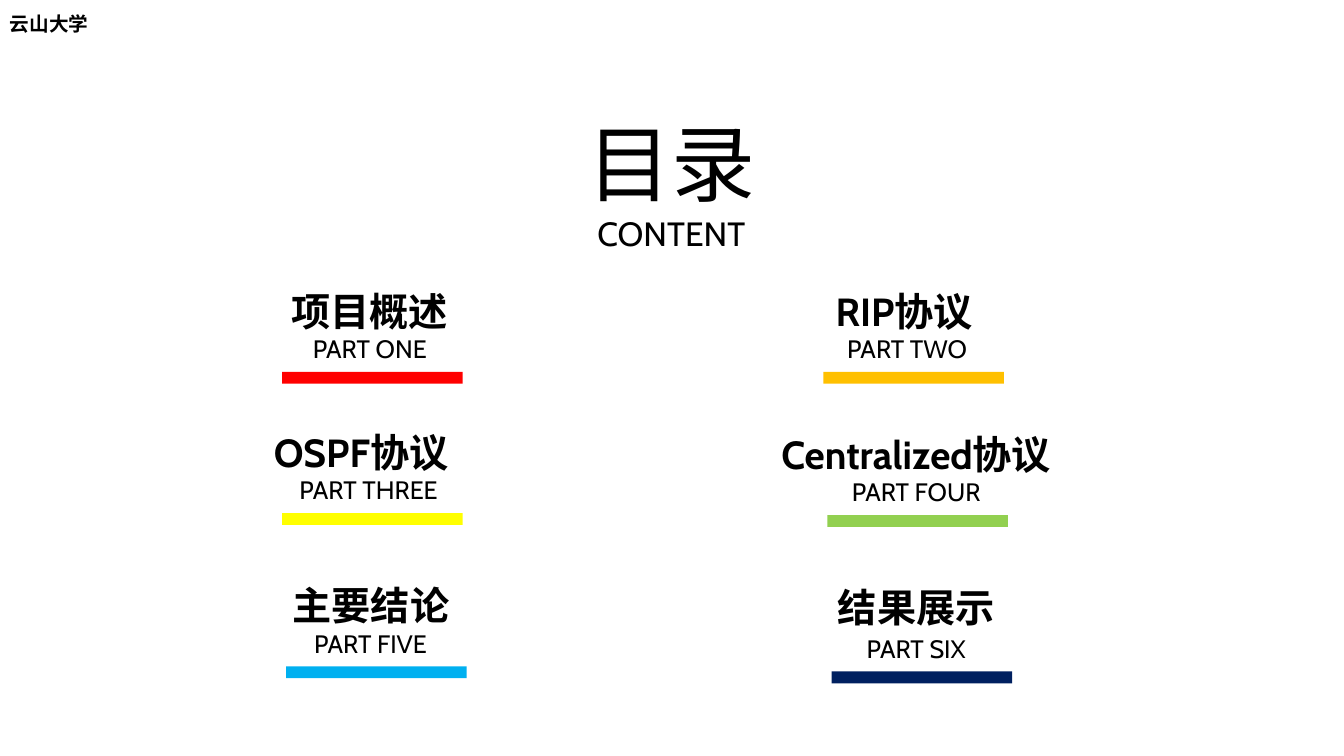
"""Build the contents slide with six colour-coded parts."""
from lxml.etree import SubElement
from pptx import Presentation
from pptx.dml.color import RGBColor
from pptx.enum.lang import MSO_LANGUAGE_ID
from pptx.enum.shapes import MSO_SHAPE
from pptx.enum.text import MSO_ANCHOR, MSO_AUTO_SIZE, PP_ALIGN
from pptx.oxml.ns import qn
from pptx.util import Cm, Pt


def color(code):
    return RGBColor.from_string(code)


def write(box, lines, bold=False, wrap=True, align=PP_ALIGN.CENTER,
          anchor=MSO_ANCHOR.TOP, spacing=None):
    frame = slide.shapes.add_textbox(*map(Cm, box)).text_frame
    frame.word_wrap = wrap
    frame.auto_size = MSO_AUTO_SIZE.SHAPE_TO_FIT_TEXT
    frame.vertical_anchor = anchor
    for i, (text, size) in enumerate(lines):
        para = frame.add_paragraph() if i else frame.paragraphs[0]
        para.alignment = align
        para.line_spacing = spacing
        run = para.add_run()
        run.text = text
        font = run.font
        font.size = Pt(size)
        font.bold = bold
        font.color.rgb = color("000000")
        font.name = "Cabin"
        font.language_id = MSO_LANGUAGE_ID.SIMPLIFIED_CHINESE
        SubElement(font._element, qn("a:ea")).set("typeface", "Cabin")


deck = Presentation()
deck.slide_width = Cm(33.87)
deck.slide_height = Cm(19.05)
slide = deck.slides.add_slide(deck.slide_layouts[6])

write((14.53, 2.69, 4.78, 3.84), [("目录", 60), ("CONTENT", 24)], wrap=False)

# name, name centre, width, height, label, label centre, width, bar left, top, fill
parts = [
    ("项目概述", 9.32, 4.88, 1.65, "PART ONE", 9.32, 4.06, 7.11, 9.37, "FF0000"),
    ("RIP协议", 22.79, 4.88, 1.8, "PART TWO", 22.86, 4.42, 20.75, 9.37, "FFC000"),
    ("OSPF协议", 9.1, 6.88, 1.8, "PART THREE", 9.29, 4.75, 7.11, 12.93, "FFFF00"),
    ("Centralized协议", 23.09, 8.23, 1.8, "PART FOUR", 23.09, 3.91, 20.85, 12.98, "92D050"),
    ("主要结论", 9.35, 4.88, 1.65, "PART FIVE", 9.34, 3.38, 7.21, 16.79, "00B0F0"),
    ("结果展示", 23.09, 4.88, 1.65, "PART SIX", 23.09, 3.4, 20.96, 16.92, "002060"),
]
for i, (name, mid, wide, high, label, hub, span, left, top, fill) in enumerate(parts):
    anchor = MSO_ANCHOR.MIDDLE if i % 2 else MSO_ANCHOR.TOP
    write((hub - span / 2, top - 1.32, span, 1.24), [(label, 18)],
          anchor=anchor, spacing=1.3)
    write((mid - wide / 2, top - 2.62, wide, high), [(name, 28)],
          bold=True, anchor=anchor, spacing=1.3)
    bar = slide.shapes.add_shape(
        MSO_SHAPE.RECTANGLE, Cm(left), Cm(top), Cm(4.55), Cm(0.3))
    bar.shadow.inherit = False
    bar.fill.solid()
    bar.fill.fore_color.rgb = color(fill)
    bar.line.fill.background()

write((0, 0.18, 2.51, 0.86), [("云山大学", 14)], bold=True, wrap=False,
      align=PP_ALIGN.LEFT)

deck.save("out.pptx")
